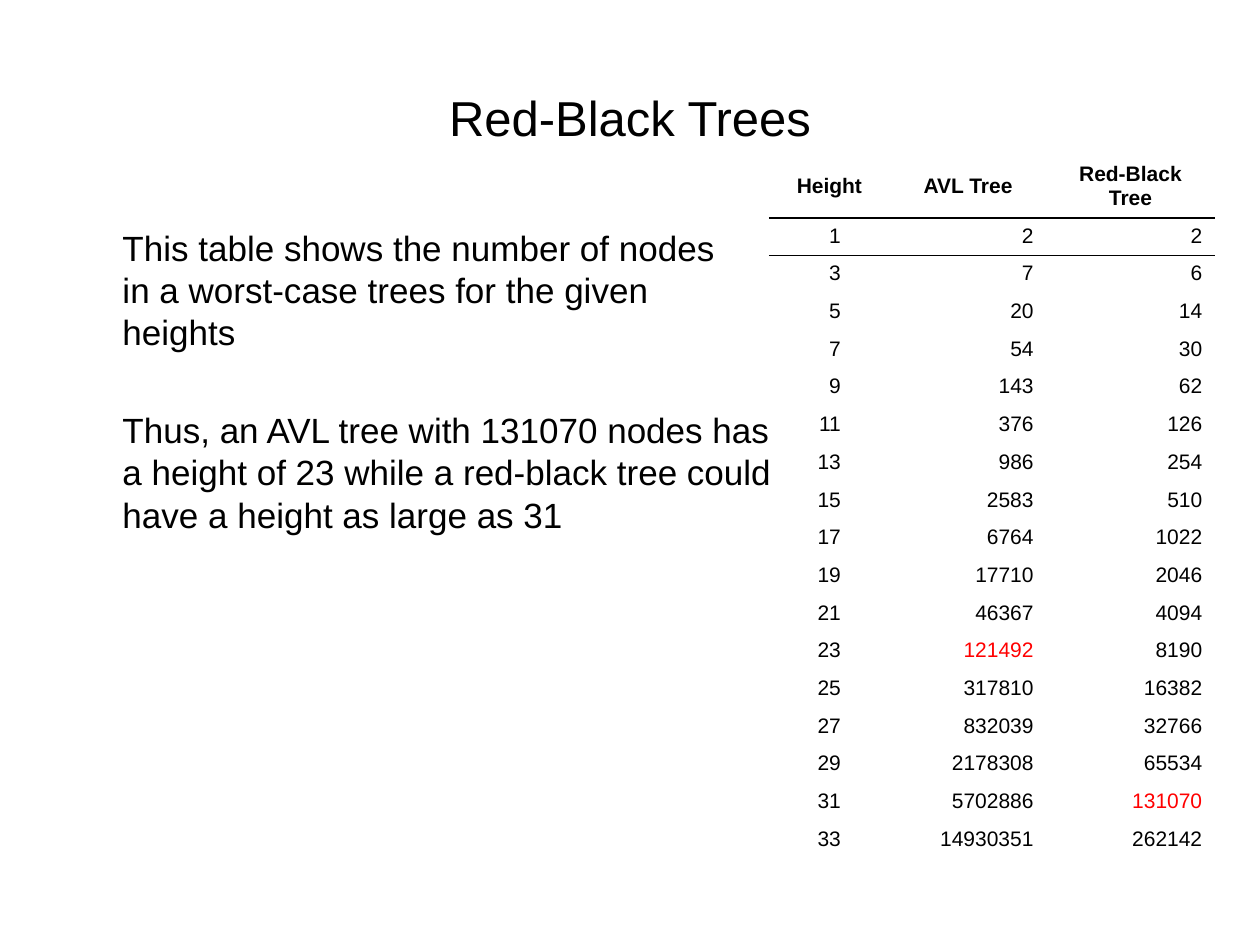
from lxml.etree import SubElement
from pptx import Presentation
from pptx.dml.color import RGBColor
from pptx.enum.text import MSO_ANCHOR, PP_ALIGN
from pptx.oxml.ns import qn
from pptx.util import Cm, Pt

HUES = {"ink": "000000", "mark": "FF0000"}
PLAIN = "{2D5ABB26-0587-4C30-8999-92F81FD0307C}"
HEADS = ["Height", "AVL Tree", "Red-Black Tree"]
AVL = [2, 7, 20, 54, 143, 376, 986, 2583, 6764, 17710, 46367, 121492,
       317810, 832039, 2178308, 5702886, 14930351]
NODES = [(2 * i + 1, avl, 2 ** (i + 2) - 2) for i, avl in enumerate(AVL)]
MARKED = {121492, 131070}
NOTES = [
    ["This table shows the number of nodes",
     "in a worst-case trees for the given",
     "heights"],
    ["Thus, an AVL tree with 131070 nodes has",
     "a height of 23 while a red-black tree could",
     "have a height as large as 31"],
]


class Deck:
    """Hold the style and the current slide, and draw each kind of element."""

    def __init__(self, wide, high, font="Arial"):
        self.show = Presentation()
        self.show.slide_width, self.show.slide_height = Cm(wide), Cm(high)
        self.slide = self.show.slides.add_slide(self.show.slide_layouts[6])
        self.font = font

    def run(self, para, text, size, hue="ink", bold=False):
        run = para.add_run()
        run.text = text
        run.font.name, run.font.size, run.font.bold = self.font, Pt(size), bold
        run.font.color.rgb = RGBColor.from_string(HUES[hue])

    def frame(self, left, top, wide, high):
        box = self.slide.shapes.add_textbox(Cm(left), Cm(top), Cm(wide), Cm(high))
        box.text_frame.word_wrap = True
        return box.text_frame

    def title(self, text, *area):
        frame = self.frame(*area)
        frame.vertical_anchor = MSO_ANCHOR.MIDDLE
        para = frame.paragraphs[0]
        para.alignment = PP_ALIGN.CENTER
        self.run(para, text, 28)

    def body(self, blocks, *area):
        frame = self.frame(*area)
        frame.margin_left = Cm(1.2)
        for i, lines in enumerate(blocks):
            para = frame.add_paragraph() if i else frame.paragraphs[0]
            para.line_spacing = Pt(24)
            para.space_before = Pt(32 if i else 0)
            for j, line in enumerate(lines):
                if j:
                    para.add_line_break()
                self.run(para, line, 20)

    def rule(self, cell, side):
        line = SubElement(cell._tc.get_or_add_tcPr(), qn(f"a:{side}"), w=str(Pt(1)))
        fill = SubElement(line, qn("a:solidFill"))
        SubElement(fill, qn("a:srgbClr"), val=HUES["ink"])

    def cell(self, cell, value, row, col):
        head = row == 0
        if row < 2:
            self.rule(cell, "lnB" if head else "lnT")
        cell.fill.background()
        if head:
            cell.vertical_anchor = MSO_ANCHOR.MIDDLE
        elif col == 0:
            cell.margin_right = Cm(0.99)
        para = cell.text_frame.paragraphs[0]
        para.alignment = PP_ALIGN.CENTER if head else PP_ALIGN.RIGHT
        hue = "mark" if value in MARKED else "ink"
        self.run(para, str(value), 12, hue, head)

    def table(self, rows, left, top, wides, first, high):
        tall = first + high * (len(rows) - 1)
        grid = self.slide.shapes.add_table(
            len(rows), len(wides), Cm(left), Cm(top), Cm(sum(wides)), Cm(tall)).table
        grid.first_row = grid.horz_banding = False
        grid._tbl.tblPr.find(qn("a:tableStyleId")).text = PLAIN
        for col, wide in zip(grid.columns, wides):
            col.width = Cm(wide)
        for i, row in enumerate(rows):
            grid.rows[i].height = Cm(high if i else first)
            for j, value in enumerate(row):
                self.cell(grid.cell(i, j), value, i, j)


def main():
    deck = Deck(25.4, 19.05)
    deck.table([HEADS] + NODES, 15.5, 3.12, [2.44, 3.15, 3.4], 1.27, 0.76)
    deck.body(NOTES, 1.27, 4.45, 22.86, 12.57)
    deck.title("Red-Black Trees", 1.27, 0.76, 22.86, 3.18)
    deck.show.save("out.pptx")


if __name__ == "__main__":
    main()
